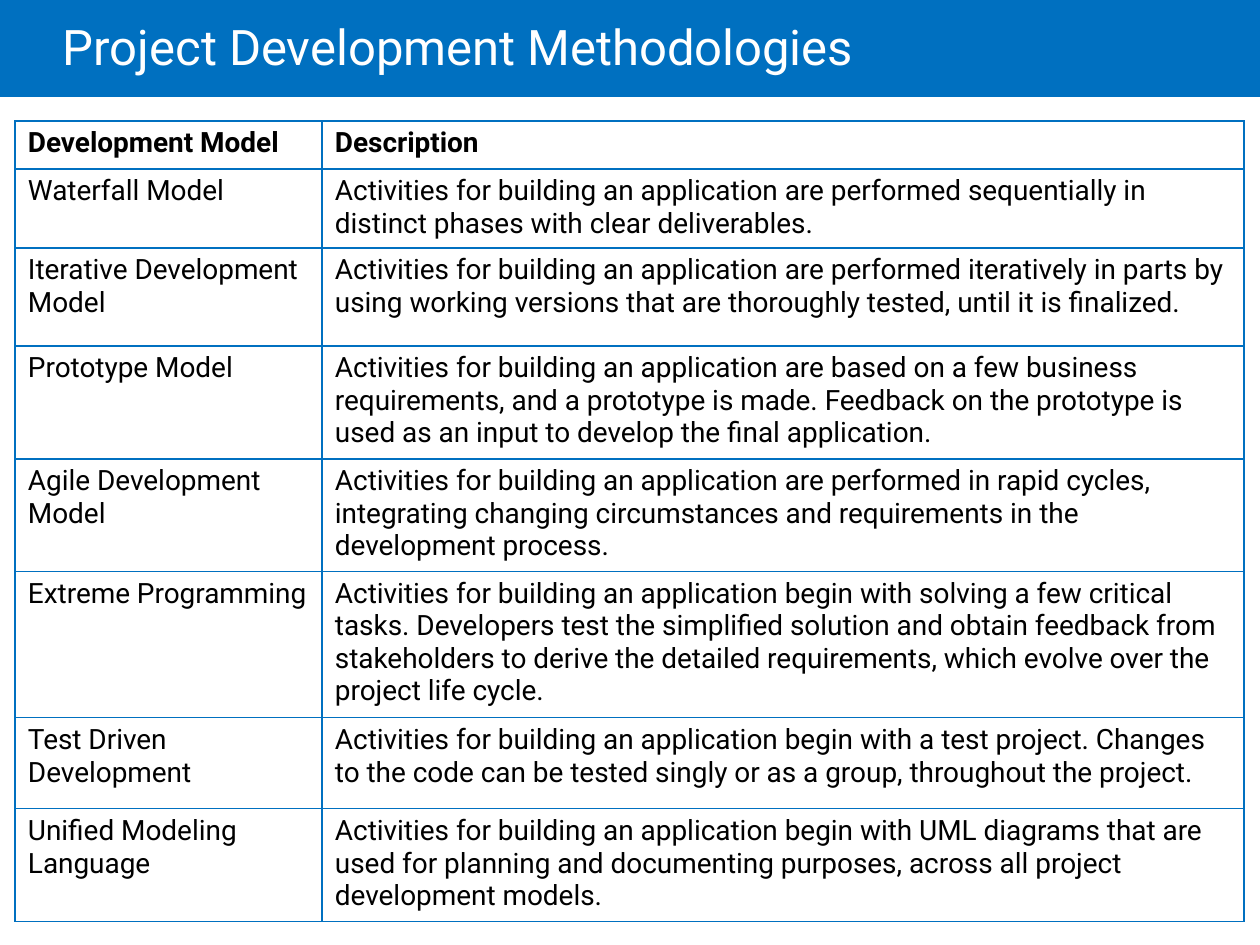
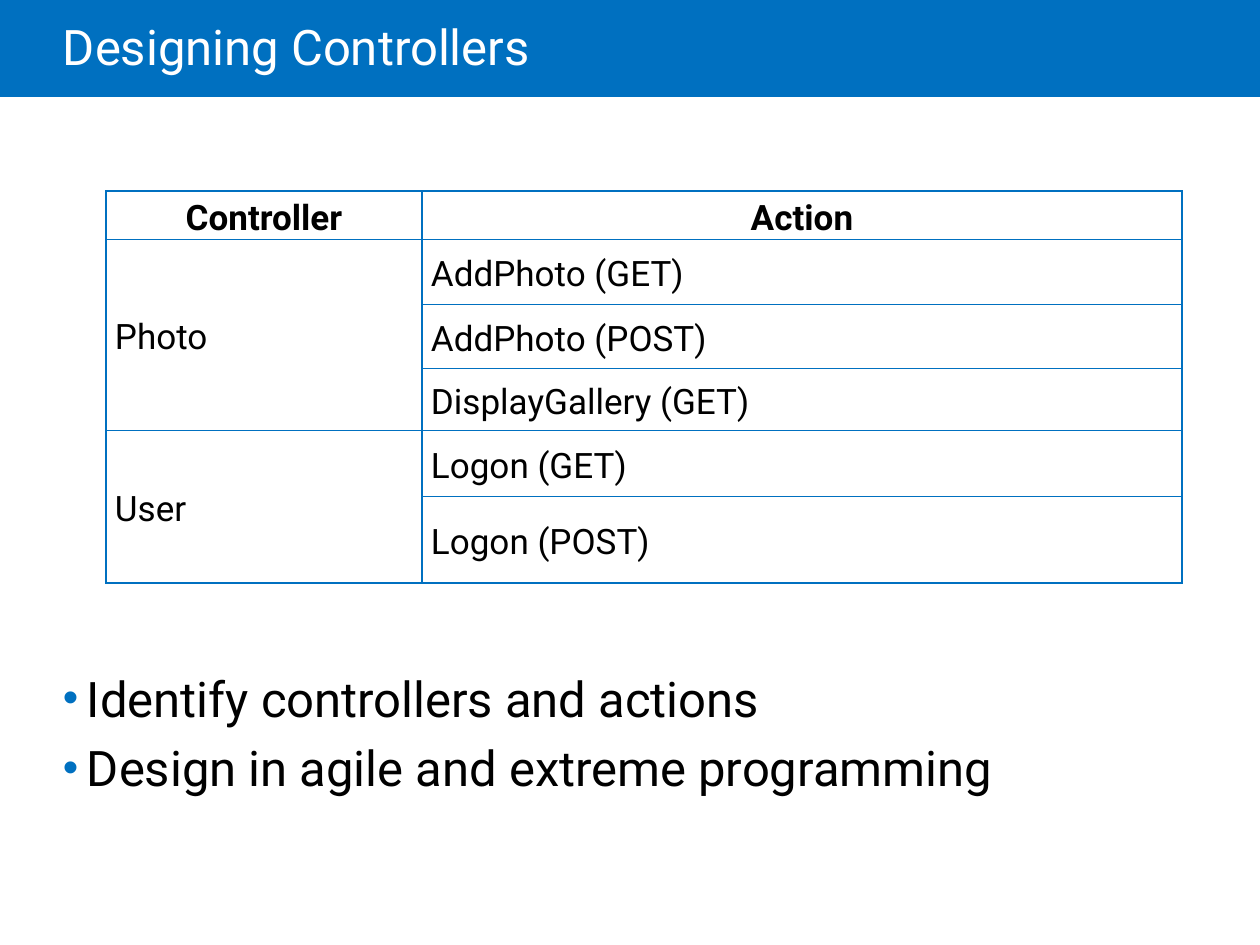
from lxml.etree import SubElement
from pptx import Presentation
from pptx.dml.color import RGBColor
from pptx.enum.shapes import MSO_SHAPE
from pptx.enum.text import MSO_ANCHOR, PP_ALIGN
from pptx.oxml import parse_xml
from pptx.oxml.ns import nsdecls, qn
from pptx.util import Emu, Pt

PX = 914400 / 126
FONT = "Roboto"
COLORS = {"accent": "0070C0", "paper": "FFFFFF", "ink": "000000"}

METHODOLOGIES = [
    ("Development Model", "Description"),
    ("Waterfall Model",
     "Activities for building an application are performed sequentially in "
     "distinct phases with clear deliverables."),
    ("Iterative Development Model",
     "Activities for building an application are performed iteratively in parts by "
     "using working versions that are thoroughly tested, until it is finalized."),
    ("Prototype Model",
     "Activities for building an application are based on a few business "
     "requirements, and a prototype is made. Feedback on the prototype is "
     "used as an input to develop the final application."),
    ("Agile Development Model",
     "Activities for building an application are performed in rapid cycles, "
     "integrating changing circumstances and requirements in the "
     "development process."),
    ("Extreme Programming",
     "Activities for building an application begin with solving a few critical "
     "tasks. Developers test the simplified solution and obtain feedback from "
     "stakeholders to derive the detailed requirements, which evolve over the "
     "project life cycle."),
    ("Test Driven Development",
     "Activities for building an application begin with a test project. Changes "
     "to the code can be tested singly or as a group, throughout the project."),
    ("Unified Modeling Language",
     "Activities for building an application begin with UML diagrams that are "
     "used for planning and documenting purposes, across all project "
     "development models."),
]
CONTROLLERS = [
    ("Controller", "Action"),
    ("Photo", "AddPhoto (GET)"),
    ("", "AddPhoto (POST)"),
    ("", "DisplayGallery (GET)"),
    ("User", "Logon (GET)"),
    ("", "Logon (POST)"),
]
DESIGN_STEPS = ["Identify controllers and actions",
                "Design in agile and extreme programming"]


def px(length):
    """Turn pixels into EMU."""
    return Emu(round(length * PX))


def rgb(name):
    """Look up a named colour."""
    return RGBColor.from_string(COLORS[name])


def write(paragraph, text, size=16, color="ink", bold=False,
          align=PP_ALIGN.LEFT, spacing=None, before=None):
    """Write formatted text into a paragraph."""
    paragraph.alignment = align
    paragraph.line_spacing = spacing
    paragraph.space_before = before
    run = paragraph.add_run()
    run.text = text
    run.font.name = FONT
    run.font.size = Pt(size)
    run.font.bold = bold
    run.font.color.rgb = rgb(color)


def set_margins(holder, left, top, right, bottom):
    """Set the inner margins of a text frame or a table cell."""
    holder.margin_left, holder.margin_top = px(left), px(top)
    holder.margin_right, holder.margin_bottom = px(right), px(bottom)


def add_text_frame(slide, box, margins, anchor=MSO_ANCHOR.TOP):
    """Add a wrapping text box and return its text frame."""
    frame = slide.shapes.add_textbox(*map(px, box)).text_frame
    frame.word_wrap = True
    frame.vertical_anchor = anchor
    set_margins(frame, *margins)
    return frame


def add_titled_slide(deck, title):
    """Add a blank slide with the title band."""
    slide = deck.slides.add_slide(deck.slide_layouts[6])
    band = slide.shapes.add_shape(MSO_SHAPE.RECTANGLE, 0, 0, px(1260), px(97))
    band.shadow.inherit = False
    band.fill.solid()
    band.fill.fore_color.rgb = rgb("accent")
    band.line.fill.background()
    heading = add_text_frame(slide, (63, 0, 1071, 102), (0, 6, 13, 6), MSO_ANCHOR.MIDDLE)
    write(heading.paragraphs[0], title, size=28, color="paper", spacing=0.85)
    return slide


def outline_cell(cell):
    """Draw one-point accent borders around a cell."""
    properties = cell._tc.get_or_add_tcPr()
    for position, side in enumerate(("lnL", "lnR", "lnT", "lnB")):
        properties.insert(position, parse_xml(
            f'<a:{side} {nsdecls("a")} w="12700"><a:solidFill>'
            f'<a:srgbClr val="{COLORS["accent"]}"/></a:solidFill></a:{side}>'))


def add_grid(slide, rows, left, top, widths, heights, margins,
             anchor=MSO_ANCHOR.TOP, header_align=PP_ALIGN.LEFT, merges=(), **style):
    """Add an outlined table whose first row is a bold header."""
    grid = slide.shapes.add_table(len(rows), len(widths), px(left), px(top),
                                  px(sum(widths)), px(sum(heights))).table
    grid.first_row = grid.horz_banding = False
    for column, width in zip(grid.columns, widths):
        column.width = px(width)
    for row, height in zip(grid.rows, heights):
        row.height = px(height)
    for first, last in merges:
        grid.cell(first, 0).merge(grid.cell(last, 0))
    for r, row in enumerate(rows):
        for c, text in enumerate(row):
            cell = grid.cell(r, c)
            cell.fill.background()
            cell.vertical_anchor = anchor
            set_margins(cell, *margins)
            outline_cell(cell)
            if text:
                write(cell.text_frame.paragraphs[0], text, bold=r == 0,
                      align=header_align if r == 0 else PP_ALIGN.LEFT, **style)


def add_bullets(slide, items, box):
    """Add a list with accent bullets."""
    frame = add_text_frame(slide, box, (0, 0, 0, 0))
    for index, item in enumerate(items):
        paragraph = frame.add_paragraph() if index else frame.paragraphs[0]
        write(paragraph, item, size=28, before=Pt(6))
        properties = paragraph._p.get_or_add_pPr()
        properties.set("marL", str(px(24)))
        properties.set("indent", str(-px(24)))
        bullet_color = SubElement(properties, qn("a:buClr"))
        SubElement(bullet_color, qn("a:srgbClr"), val=COLORS["accent"])
        SubElement(properties, qn("a:buSzPct"), val="90000")
        SubElement(properties, qn("a:buFont"), typeface="Arial")
        SubElement(properties, qn("a:buChar"), char="•")


def main():
    """Build both slides and save the deck."""
    deck = Presentation()
    deck.slide_width, deck.slide_height = px(1260), px(945)

    methodologies = add_titled_slide(deck, "Project Development Methodologies")
    add_grid(methodologies, METHODOLOGIES, 15, 121, (307, 922),
             (48, 78, 98, 112, 112, 144, 91, 112), (13, 6, 13, 6))

    controllers = add_titled_slide(deck, "Designing Controllers")
    add_bullets(controllers, DESIGN_STEPS, (63, 668, 1119, 181))
    add_grid(controllers, CONTROLLERS, 106, 191, (316, 760),
             (43, 65, 64, 62, 66, 87), (9, 0, 9, 0), anchor=MSO_ANCHOR.MIDDLE,
             header_align=PP_ALIGN.CENTER, merges=((1, 3), (4, 5)),
             size=20, spacing=1.15)

    deck.save("out.pptx")


if __name__ == "__main__":
    main()
